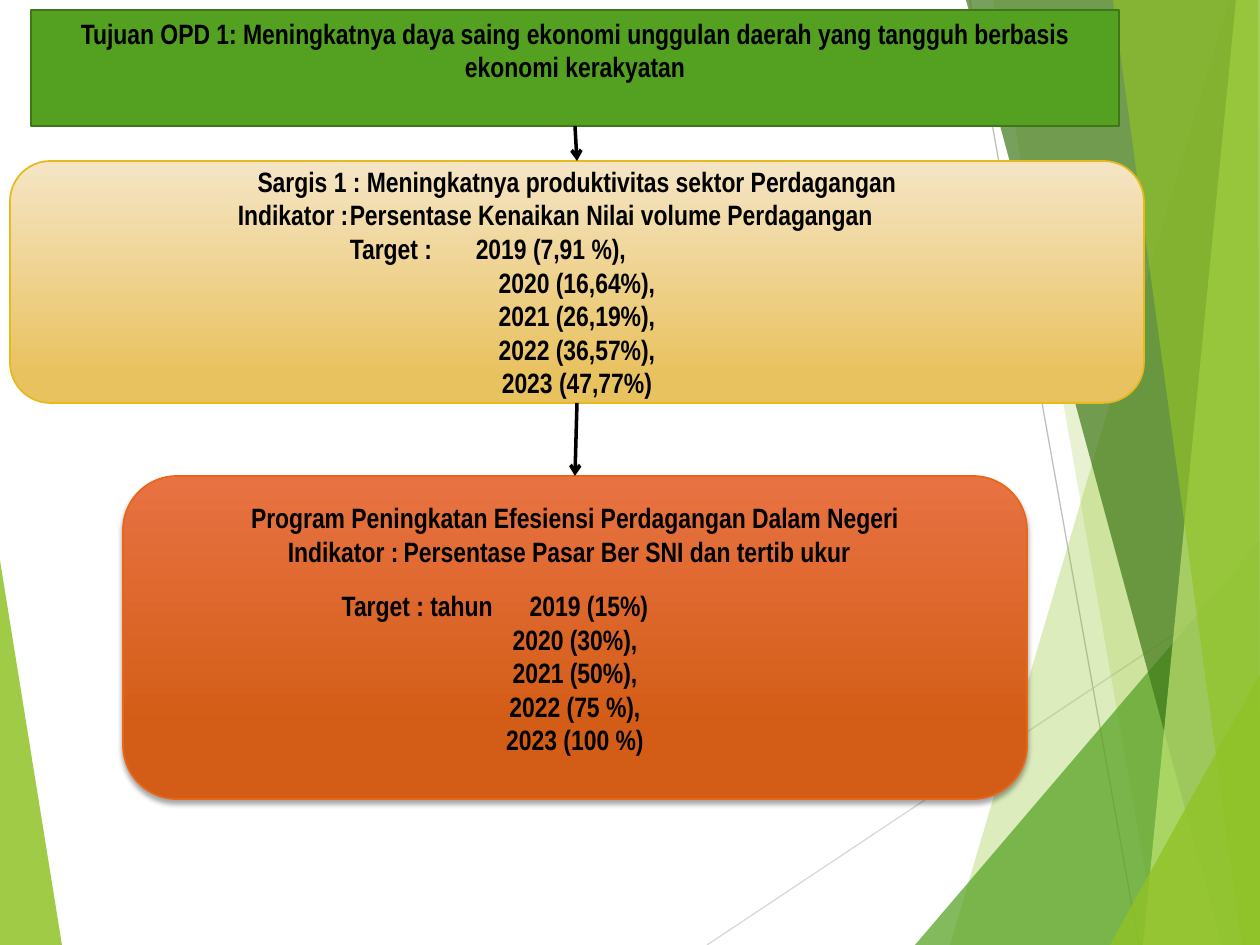
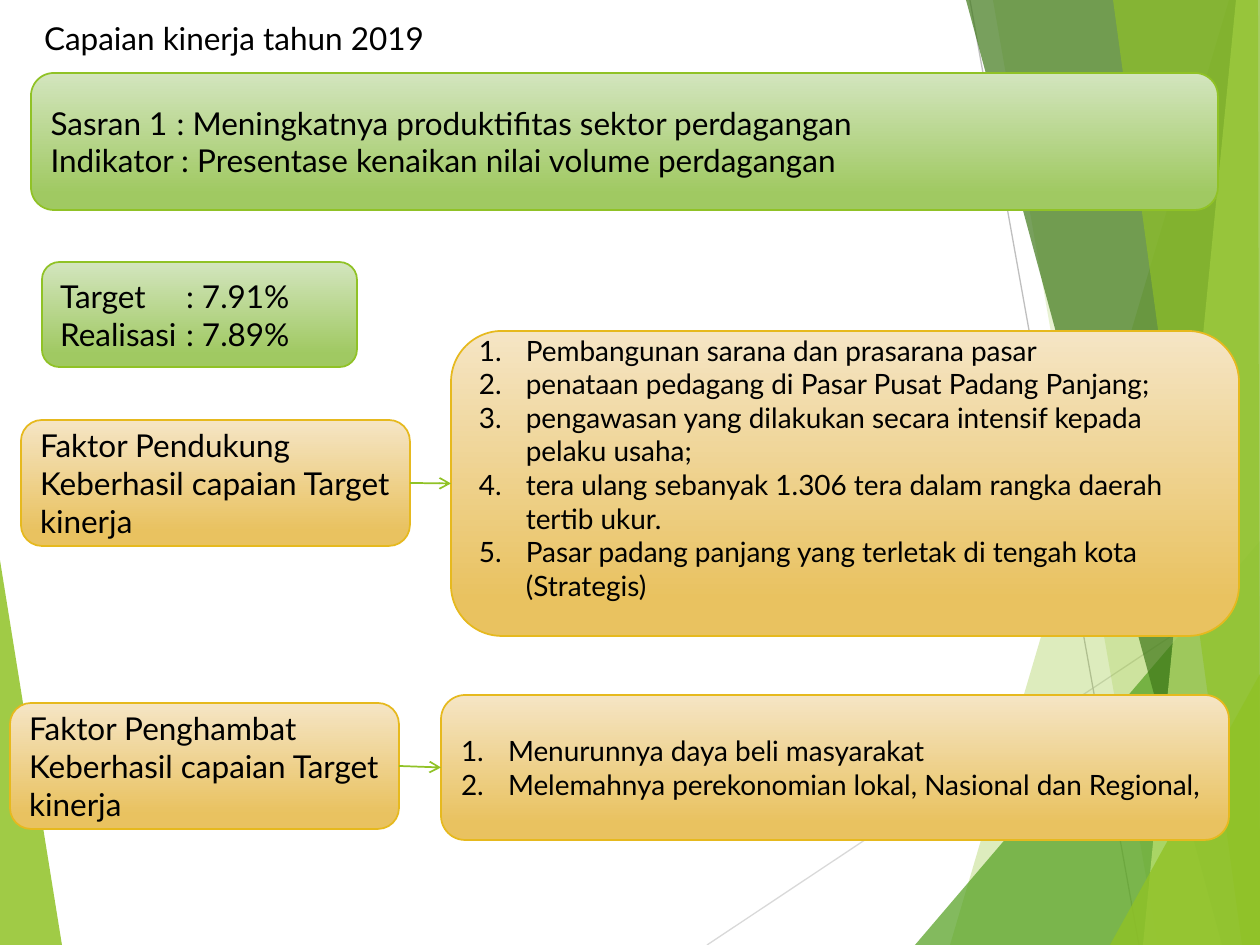
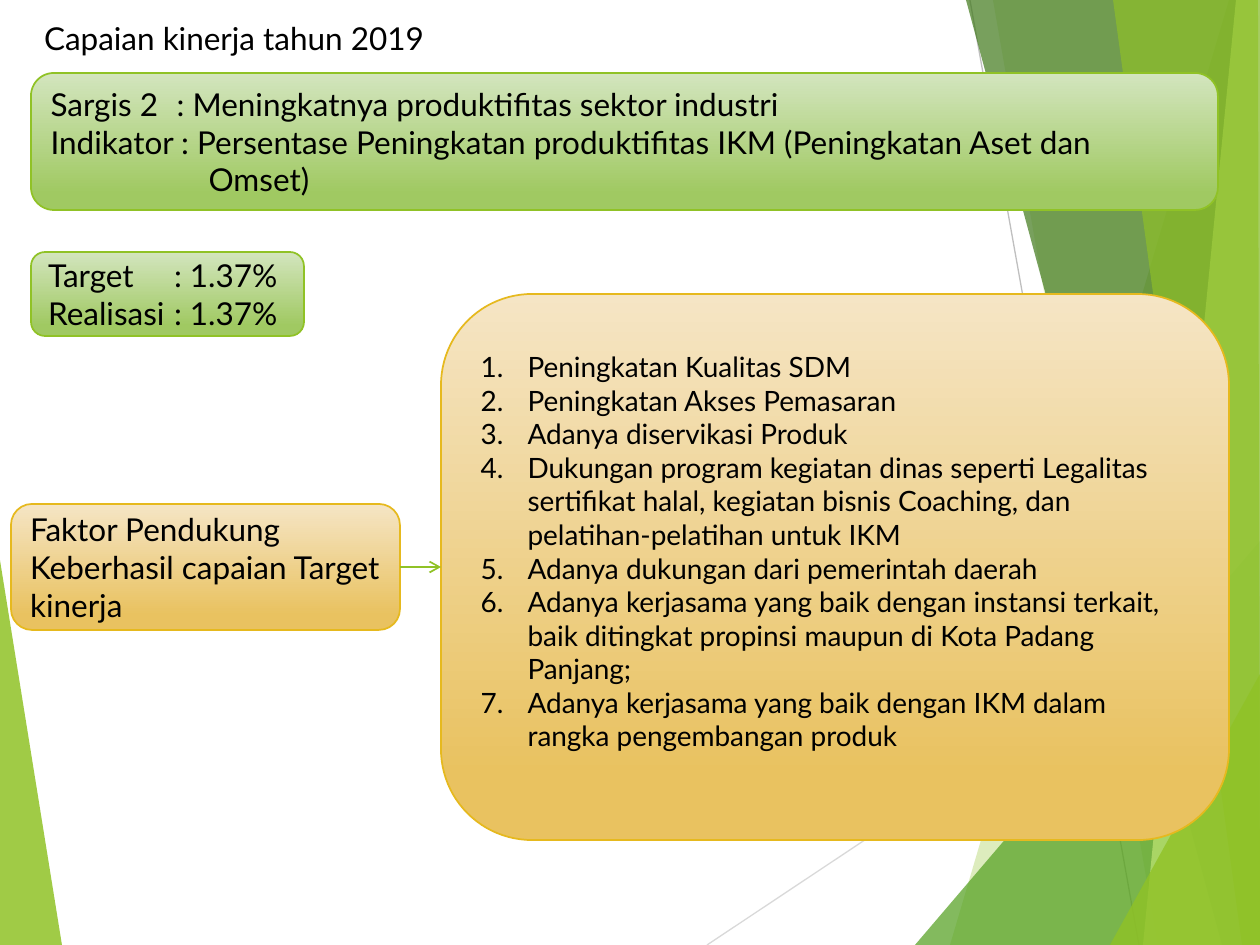
from dataclasses import dataclass

from lxml import etree
from pptx import Presentation
from pptx import util as u
from pptx.dml.color import RGBColor
from pptx.enum import shapes, text
from pptx.oxml.ns import qn

EMU_PER_PX = 914400 / 126
WIDTH, HEIGHT = 1260, 945
TOP, LEFT, BOTTOM, RIGHT = range(4)
MARGIN_X, MARGIN_Y = 13, 6


@dataclass(frozen=True)
class Paint:
    """Vertical gradient with its outline colour."""
    top: str
    bottom: str
    stop: float
    line: str


@dataclass(frozen=True)
class Type:
    """Font face, size and weight."""
    face: str
    size: int
    bold: bool = False


@dataclass(frozen=True)
class Theme:
    """Colours and type sizes of the deck."""
    black: str = "000000"
    lime: str = "90C226"
    green: str = "54A021"
    green_edge: str = "3E7618"
    forest: str = "3F7819"
    pale_lime: str = "C0E474"
    light_gray: str = "D9D9D9"
    gray: str = "BFBFBF"
    lime_box: Paint = Paint("D3E5BE", "A0C962", 0.88, "90C226")
    gold_box: Paint = Paint("F5E5C5", "E9C260", 0.88, "E6B91E")
    orange_box: Paint = Paint("E87242", "D35D16", 0.78, "E76618")
    plan: Type = Type("Arial Narrow", 16, True)
    label: Type = Type("Lato", 18)
    item: Type = Type("Lato", 16)


@dataclass(frozen=True)
class Line:
    """One paragraph and its layout in px."""
    text: str
    centered: bool = False
    margin: int = 0
    indent: int = 0
    tab: int = 0
    gap: int = 0
    numbered: bool = False


THEME = Theme()


def px(value):
    """Turn px into EMU."""
    return u.Emu(round(value * EMU_PER_PX))


def rgb(code):
    """Turn a hex code into a colour."""
    return RGBColor.from_string(code)


def centered(*rows):
    """Make centred paragraphs."""
    return [Line(row, centered=True) for row in rows]


def numbered(*rows):
    """Make numbered paragraphs with a hanging indent."""
    return [Line(row, margin=47, indent=-47, numbered=True) for row in rows]


def write(shape, lines, style, anchor, lift=0, side=MARGIN_X):
    """Fill a shape with paragraphs, raised by lift px."""
    frame = shape.text_frame
    frame.word_wrap = True
    frame.auto_size = text.MSO_AUTO_SIZE.NONE
    frame.vertical_anchor = anchor
    frame.margin_left = frame.margin_right = px(side)
    frame.margin_top, frame.margin_bottom = px(MARGIN_Y), px(MARGIN_Y + 2 * lift)
    for index, line in enumerate(lines):
        para = frame.add_paragraph() if index else frame.paragraphs[0]
        para.alignment = text.PP_ALIGN.CENTER if line.centered else text.PP_ALIGN.LEFT
        props = para._p.get_or_add_pPr()
        props.set("marL", str(px(line.margin)))
        props.set("indent", str(px(line.indent)))
        if line.numbered:
            etree.SubElement(props, qn("a:buAutoNum"), type="arabicPeriod")
        if line.tab:
            tabs = etree.SubElement(props, qn("a:tabLst"))
            etree.SubElement(tabs, qn("a:tab"), pos=str(px(line.tab)), algn="l")
        if line.gap:
            para.space_before = u.Pt(line.gap)
        span = para.add_run()
        span.text = line.text
        span.font.name, span.font.size = style.face, u.Pt(style.size)
        span.font.bold = style.bold
        span.font.color.rgb = rgb(THEME.black)


def add_title(page, bounds, line, style, side=MARGIN_X):
    """Place and fill the title placeholder."""
    title = page.shapes.title
    title.left, title.top, title.width, title.height = map(px, bounds)
    write(title, [line], style, text.MSO_ANCHOR.TOP, side=side)
    return title


def add_box(page, bounds, paint, lines, style, lift=0):
    """Add a rounded gradient box with text."""
    box = page.shapes.add_shape(shapes.MSO_SHAPE.ROUNDED_RECTANGLE, *map(px, bounds))
    box.shadow.inherit = False
    box.fill.gradient()
    box.fill.gradient_angle = 270
    colours = ((paint.top, 0), (paint.bottom, paint.stop))
    for stop, (colour, position) in zip(box.fill.gradient_stops, colours):
        stop.color.rgb, stop.position = rgb(colour), position
    box.line.color.rgb, box.line.width = rgb(paint.line), u.Pt(1)
    write(box, lines, style, text.MSO_ANCHOR.MIDDLE, lift)
    return box


def set_alpha(parent, percent):
    """Set the opacity of the colour inside an element."""
    colour = next(parent.iter(qn("a:srgbClr")))
    etree.SubElement(colour, qn("a:alpha"), val=str(percent * 1000))


def add_drop_shadow(box):
    """Give a box a soft shadow below it."""
    effects = box.element.spPr.find(qn("a:effectLst"))
    shadow = etree.SubElement(effects, qn("a:outerShdw"), blurRad=str(u.Pt(3)),
                              dist=str(u.Pt(2)), dir="5400000", rotWithShape="0")
    etree.SubElement(shadow, qn("a:srgbClr"), val=THEME.black)
    set_alpha(shadow, 35)


def add_line(page, start, end, colour, width):
    """Add a plain straight line."""
    line = page.shapes.add_connector(
        shapes.MSO_CONNECTOR.STRAIGHT, *map(px, (*start, *end)))
    line.line.color.rgb, line.line.width = rgb(colour), u.Pt(width)
    etree.SubElement(line.element.spPr, qn("a:effectLst"))
    return line


def add_arrow(page, source, source_side, target, target_side, colour, width):
    """Join two boxes with an arrow."""
    arrow = add_line(page, (0, 0), (0, 0), colour, width)
    arrow.begin_connect(source, source_side)
    arrow.end_connect(target, target_side)
    outline = arrow.element.spPr.find(qn("a:ln"))
    etree.SubElement(outline, qn("a:tailEnd"), type="arrow")


def add_facet(page, points, colour, opacity):
    """Add a translucent polygon."""
    builder = page.shapes.build_freeform(*points[0], scale=EMU_PER_PX)
    builder.add_line_segments(points[1:], close=True)
    facet = builder.convert_to_shape()
    facet.shadow.inherit = False
    facet.fill.solid()
    facet.fill.fore_color.rgb = rgb(colour)
    facet.line.fill.background()
    set_alpha(facet.element.spPr, opacity)
    return facet


def add_backdrop(deck, page):
    """Draw the facets once and hand them to the slide master."""
    low, far = HEIGHT, (WIDTH, HEIGHT)
    corner = (WIDTH, 0)
    facets = (
        ([(1229, 0), (950, low), far, corner], THEME.lime, 30),
        ([(993, 0), (1158, low), far, corner], THEME.lime, 20),
        ([(915, low), (WIDTH, 541), far], THEME.green, 72),
        ([(966, 0), (1222, low), far, corner], THEME.forest, 70),
        ([(1236, 0), (1143, low), far, corner], THEME.pale_lime, 70),
        ([(1113, 0), (1242, low), far, (1258, 0)], THEME.lime, 65),
        ([(1110, low), (WIDTH, 674), far], THEME.lime, 80),
    )
    parts = [
        add_facet(page, [(0, 560), (62, low), (0, low)], THEME.lime, 85),
        add_line(page, (707, low), (WIDTH, 577), THEME.light_gray, 0.75),
        add_line(page, (970, 0), (1139, low), THEME.gray, 0.75),
    ]
    parts += [add_facet(page, *facet) for facet in facets]
    tree = deck.slide_master.element.cSld.spTree
    for index, part in enumerate(parts):
        next(part.element.iter(qn("p:cNvPr"))).set("id", str(100 + index))
        tree.insert(2 + index, part.element)


def build_plan(page):
    """Build the slide of goal, target and programme."""
    goal = add_title(
        page, (31, 10, 1088, 116),
        Line("Tujuan OPD 1: Meningkatnya daya saing ekonomi unggulan daerah yang "
             "tangguh berbasis ekonomi kerakyatan", centered=True), THEME.plan, side=20)
    goal.fill.solid()
    goal.fill.fore_color.rgb = rgb(THEME.green)
    goal.line.color.rgb, goal.line.width = rgb(THEME.green_edge), u.Pt(1.5)
    target = add_box(page, (10, 161, 1134, 242), THEME.gold_box, [
        *centered("Sargis 1 : Meningkatnya produktivitas sektor Perdagangan"),
        Line("Indikator :\tPersentase Kenaikan Nilai volume Perdagangan",
             indent=203, tab=346),
        Line("Target :\t2019 (7,91 %),", indent=315, tab=448),
        *centered("2020 (16,64%),", "2021 (26,19%),", "2022 (36,57%),", "2023 (47,77%)"),
    ], THEME.plan)
    programme = add_box(page, (123, 476, 904, 323), THEME.orange_box, [
        *centered("Program Peningkatan Efesiensi Perdagangan Dalam Negeri"),
        Line("Indikator :\tPersentase Pasar Ber SNI dan tertib ukur", indent=136, tab=266),
        Line("Target : tahun\t2019 (15%)", indent=190, tab=366, gap=12),
        *centered("2020 (30%),", "2021 (50%),", "2022 (75 %),", "2023 (100 %)"),
    ], THEME.plan, lift=9)
    add_drop_shadow(programme)
    for upper, lower in ((goal, target), (target, programme)):
        add_arrow(page, upper, BOTTOM, lower, TOP, THEME.black, 2)


def add_result(page, summary, result_bounds, result):
    """Add the heading, the indicator band and the result box."""
    add_title(page, (31, 13, 449, 50), Line("Capaian kinerja tahun 2019"), THEME.label)
    add_box(page, (31, 73, 1187, 137), THEME.lime_box, summary, THEME.label)
    add_box(page, result_bounds, THEME.lime_box, result, THEME.label)


def add_factor(page, kind, corner, list_bounds, items, lift=0):
    """Add a factor box with an arrow to its numbered list."""
    factor = add_box(page, (*corner, 389, 126), THEME.gold_box,
                     [Line(f"Faktor {kind} Keberhasil capaian Target kinerja")],
                     THEME.label)
    details = add_box(page, list_bounds, THEME.gold_box, numbered(*items),
                      THEME.item, lift)
    add_arrow(page, factor, RIGHT, details, LEFT, THEME.lime, 1)


def build_trade(page):
    """Build the slide of trade results."""
    add_result(page, [
        Line("Sasran 1\t: Meningkatnya produktifitas sektor perdagangan", tab=132),
        Line("Indikator : Presentase kenaikan nilai volume perdagangan"),
    ], (42, 262, 315, 105), [
        Line("Target\t: 7.91%", tab=126),
        Line("Realisasi\t: 7.89%", tab=132),
    ])
    add_factor(page, "Pendukung", (21, 420), (451, 331, 788, 305), [
        "Pembangunan sarana dan prasarana pasar",
        "penataan pedagang di Pasar Pusat Padang Panjang;",
        "pengawasan yang dilakukan secara intensif kepada pelaku usaha;",
        "tera ulang sebanyak 1.306 tera dalam rangka daerah tertib ukur.",
        "Pasar padang panjang yang terletak di tengah kota (Strategis)",
    ], lift=16)
    add_factor(page, "Penghambat", (10, 703), (441, 695, 788, 145), [
        "Menurunnya daya beli masyarakat",
        "Melemahnya perekonomian lokal, Nasional dan Regional,",
    ])


def build_industry(page):
    """Build the slide of industry results."""
    add_result(page, [
        Line("Sargis 2\t: Meningkatnya produktifitas sektor industri", tab=123),
        Line("Indikator : Persentase Peningkatan produktifitas IKM "
             "(Peningkatan Aset dan Omset)", margin=158, indent=-158),
    ], (31, 252, 273, 84), [
        Line("Target\t: 1.37%", tab=118),
        Line("Realisasi\t: 1.37%", tab=124),
    ])
    add_factor(page, "Pendukung", (11, 504), (441, 294, 788, 546), [
        "Peningkatan Kualitas SDM",
        "Peningkatan Akses Pemasaran",
        "Adanya diservikasi Produk",
        "Dukungan program kegiatan dinas seperti Legalitas sertifikat halal, "
        "kegiatan bisnis Coaching, dan pelatihan-pelatihan untuk IKM",
        "Adanya dukungan dari pemerintah daerah",
        "Adanya kerjasama yang baik dengan instansi terkait, baik ditingkat "
        "propinsi maupun di Kota Padang Panjang;",
        "Adanya kerjasama yang baik dengan IKM dalam rangka pengembangan produk",
    ], lift=16)


def main():
    """Build and save the deck."""
    deck = Presentation()
    deck.slide_width, deck.slide_height = px(WIDTH), px(HEIGHT)
    title_only = deck.slide_layouts[5]
    pages = [deck.slides.add_slide(title_only) for _ in range(3)]
    add_backdrop(deck, pages[0])
    for build, page in zip((build_plan, build_trade, build_industry), pages):
        build(page)
    deck.save("out.pptx")


if __name__ == "__main__":
    main()
